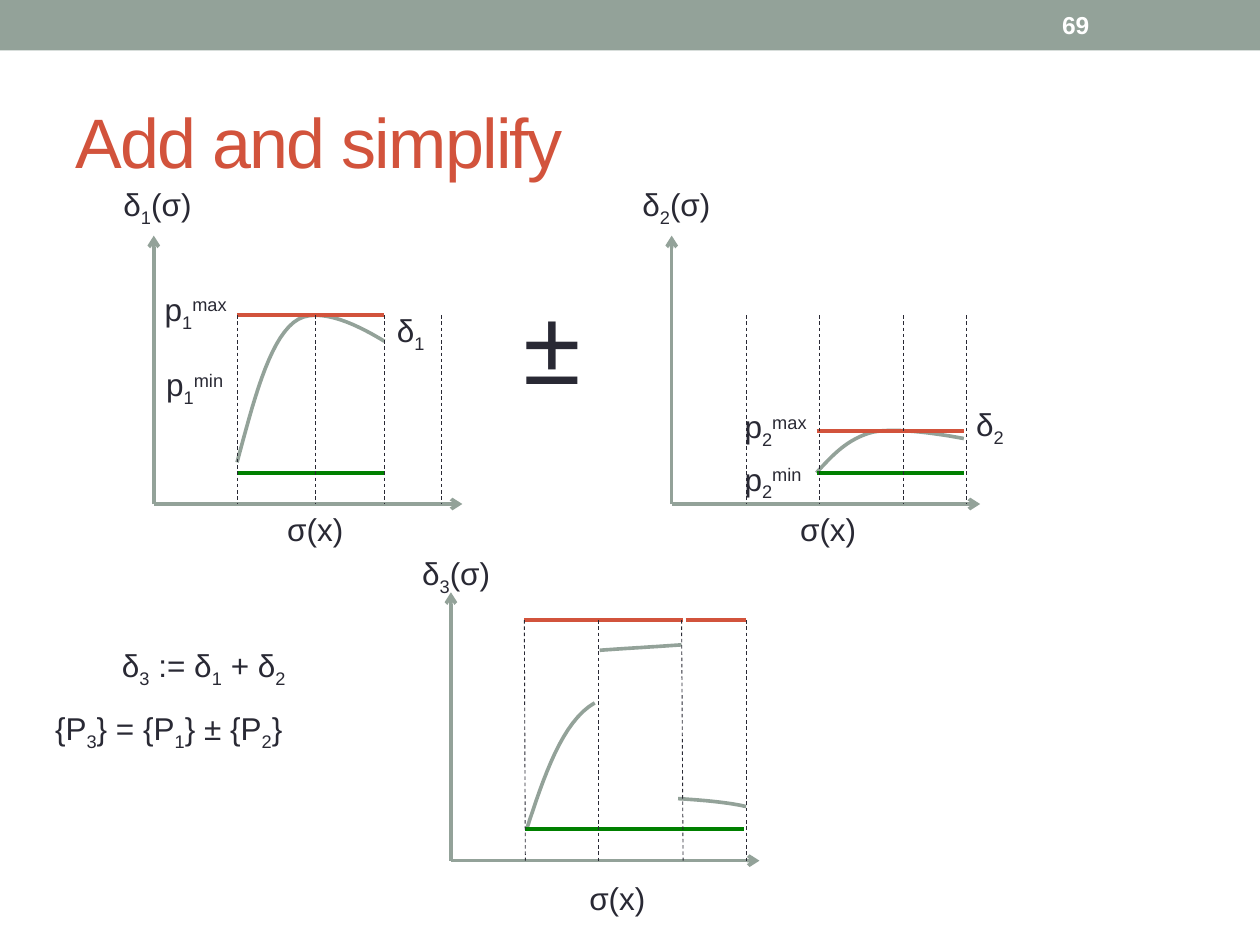
from lxml import etree
from pptx import Presentation
from pptx import util as u
from pptx.dml.color import RGBColor
from pptx.enum import dml, shapes, text
from pptx.oxml.ns import qn

THEME = {
    "font": "Arial",
    "grey": "93A299", "red": "D2533C", "green": "008000",
    "ink": "292934", "white": "FFFFFF",
    "title": 40, "label": 18, "sign": 60, "number": 14,
    "thick": 2.08, "thin": 0.5,
}
SLIDE_SIZE = (25.4, 19.05)
AXIS_SIZE = (6.22, 5.41)
LABEL_HEIGHT = 1.02
CURVE_STEPS = 16

PLOTS = [
    {
        "origin": (3.1, 10.16), "guide_top": 6.35,
        "guides": [(4.78, 4.78), (6.35, 6.35), (7.75, 7.75), (8.89, 8.89)],
        "max": (6.35, [(4.78, 7.75)]),
        "min": (9.53, [(4.78, 7.75)]),
        "curves": [[(4.78, 9.32), (5.11, 8.1), (5.41, 6.91), (5.92, 6.5),
                    (6.4, 6.1), (7.34, 6.63), (7.75, 6.88)]],
    },
    {
        "origin": (13.54, 10.16), "guide_top": 6.35,
        "guides": [(15.04, 15.04), (16.51, 16.51), (18.21, 18.21), (19.48, 19.48)],
        "max": (8.69, [(16.46, 19.43)]),
        "min": (9.53, [(16.46, 19.43)]),
        "curves": [[(16.46, 9.53), (16.79, 9.17), (17.09, 8.84), (17.6, 8.71),
                    (18.08, 8.61), (19, 8.76), (19.43, 8.84)]],
    },
    {
        "origin": (9.09, 17.35), "guide_top": 12.5,
        "guides": [(10.57, 10.59), (12.07, 12.07), (13.74, 13.77), (15.04, 15.04)],
        "max": (12.5, [(10.57, 12.09), (12.01, 13.77), (13.82, 15.04)]),
        "min": (16.71, [(10.59, 12.07), (12.07, 13.77), (13.77, 14.99)]),
        "curves": [
            [(10.62, 16.71), (10.97, 15.65), (11.33, 14.55), (11.99, 14.17)],
            [(12.09, 13.11), (12.64, 13.07), (13.19, 13.04), (13.74, 13)],
            [(13.67, 16.1), (14.17, 16.13), (14.71, 16.18), (15.04, 16.26)],
        ],
    },
]

LABELS = [
    ("δ|_1|(σ)", 2.24, 3.61, 1.93),
    ("δ|_2|(σ)", 12.7, 3.61, 1.93),
    ("δ|_3|(σ)", 8.26, 11.05, 1.93),
    ("σ(x)", 5.54, 10.16, 1.65),
    ("σ(x)", 15.88, 10.16, 1.65),
    ("σ(x)", 11.63, 17.6, 1.65),
    ("δ|_1", 7.75, 6.15, 1.12),
    ("δ|_2", 19.43, 8.05, 1.12),
    ("p|_1|^max", 3.07, 5.72, 1.91),
    ("p|_1|^min", 3.1, 7.24, 1.8),
    ("p|_2|^max", 14.76, 8.08, 1.91),
    ("p|_2|^min", 14.76, 9.14, 1.8),
    ("δ|_3| := δ|_1| + δ|_2", 2.21, 12.9, 3.94),
    ("{P|_3|} = {P|_1|} ± {P|_2|}", 0.86, 14.17, 5.38),
]
BASELINES = {"_": "-25000", "^": "30000"}


def color(name):
    return RGBColor.from_string(THEME[name])


def apply(target, **values):
    for name, value in values.items():
        setattr(target, name, value)


def place(shape, left, top, width, height):
    apply(shape, left=u.Cm(left), top=u.Cm(top), width=u.Cm(width), height=u.Cm(height))


def write(frame, markup, size, ink, bold=False):
    para = frame.paragraphs[0]
    para.alignment = text.PP_ALIGN.LEFT
    for part in markup.split("|"):
        span = para.add_run()
        span.text = part.lstrip("_^")
        apply(span.font, name=THEME["font"], size=u.Pt(THEME[size]), bold=bold)
        span.font.color.rgb = color(ink)
        if part[0] in BASELINES:
            span.font._element.set("baseline", BASELINES[part[0]])
    return para


def add_label(page, markup, left, top, width, height=LABEL_HEIGHT, size="label"):
    box = page.shapes.add_textbox(*map(u.Cm, (left, top, width, height)))
    apply(box.text_frame, word_wrap=False, auto_size=text.MSO_AUTO_SIZE.SHAPE_TO_FIT_TEXT)
    write(box.text_frame, markup, size, "ink")


def add_line(page, start, end, ink, weight="thick", dashed=False, arrow=False):
    line = page.shapes.add_connector(
        shapes.MSO_CONNECTOR.STRAIGHT, *map(u.Cm, (*start, *end)))
    line.line.color.rgb = color(ink)
    line.line.width = u.Pt(THEME[weight])
    if dashed:
        line.line.dash_style = dml.MSO_LINE.DASH
    if arrow:
        etree.SubElement(line.line._get_or_add_ln(), qn("a:tailEnd"), type="arrow")
    etree.SubElement(line._element.spPr, qn("a:effectLst"))


def bezier(a, b, c, d, t):
    s = 1 - t
    return tuple(u.Cm(s**3 * p + 3 * s * s * t * q + 3 * s * t * t * r + t**3 * w)
                 for p, q, r, w in zip(a, b, c, d))


def add_curve(page, points):
    vertices = [bezier(*points[first:first + 4], step / CURVE_STEPS)
                for first in range(0, len(points) - 1, 3)
                for step in range(1, CURVE_STEPS + 1)]
    builder = page.shapes.build_freeform(*map(u.Cm, points[0]))
    builder.add_line_segments(vertices, close=False)
    curve = builder.convert_to_shape()
    curve.fill.background()
    curve.shadow.inherit = False
    curve.line.color.rgb = color("grey")
    curve.line.width = u.Pt(THEME["thick"])


def add_plot(page, plot):
    x, y = plot["origin"]
    width, height = AXIS_SIZE
    for tip in ((x, y - height), (x + width, y)):
        add_line(page, (x, y), tip, "grey", arrow=True)
    for points in plot["curves"]:
        add_curve(page, points)
    for bound, ink in (("max", "red"), ("min", "green")):
        level, spans = plot[bound]
        for left, right in spans:
            add_line(page, (left, level), (right, level), ink)
    for upper, lower in plot["guides"]:
        add_line(page, (upper, plot["guide_top"]), (lower, y), "ink", "thin", dashed=True)


def main():
    deck = Presentation()
    deck.slide_width, deck.slide_height = map(u.Cm, SLIDE_SIZE)
    page = deck.slides.add_slide(deck.slide_layouts[5])

    band = page.shapes.add_shape(
        shapes.MSO_SHAPE.RECTANGLE, 0, 0, deck.slide_width, u.Cm(1.02))
    band.fill.solid()
    band.fill.fore_color.rgb = color("grey")
    band.line.fill.background()
    band.shadow.inherit = False

    title = page.shapes.title
    place(title, 1.27, 1.47, 22.86, 2.74)
    title.text_frame.vertical_anchor = text.MSO_ANCHOR.MIDDLE
    heading = write(title.text_frame, "Add and simplify", "title", "red")
    heading.runs[0].font._element.set("spc", "-100")

    number = page.shapes.add_textbox(*map(u.Cm, (21.16, 0.05, 2.97, 0.91)))
    apply(number.text_frame, word_wrap=True, vertical_anchor=text.MSO_ANCHOR.MIDDLE)
    write(number.text_frame, "69", "number", "white", bold=True)

    for plot in PLOTS:
        add_plot(page, plot)
    for label in LABELS:
        add_label(page, *label)
    add_label(page, "±", 10.31, 5.51, 1.68, 2.82, "sign")

    deck.save("out.pptx")


if __name__ == "__main__":
    main()
